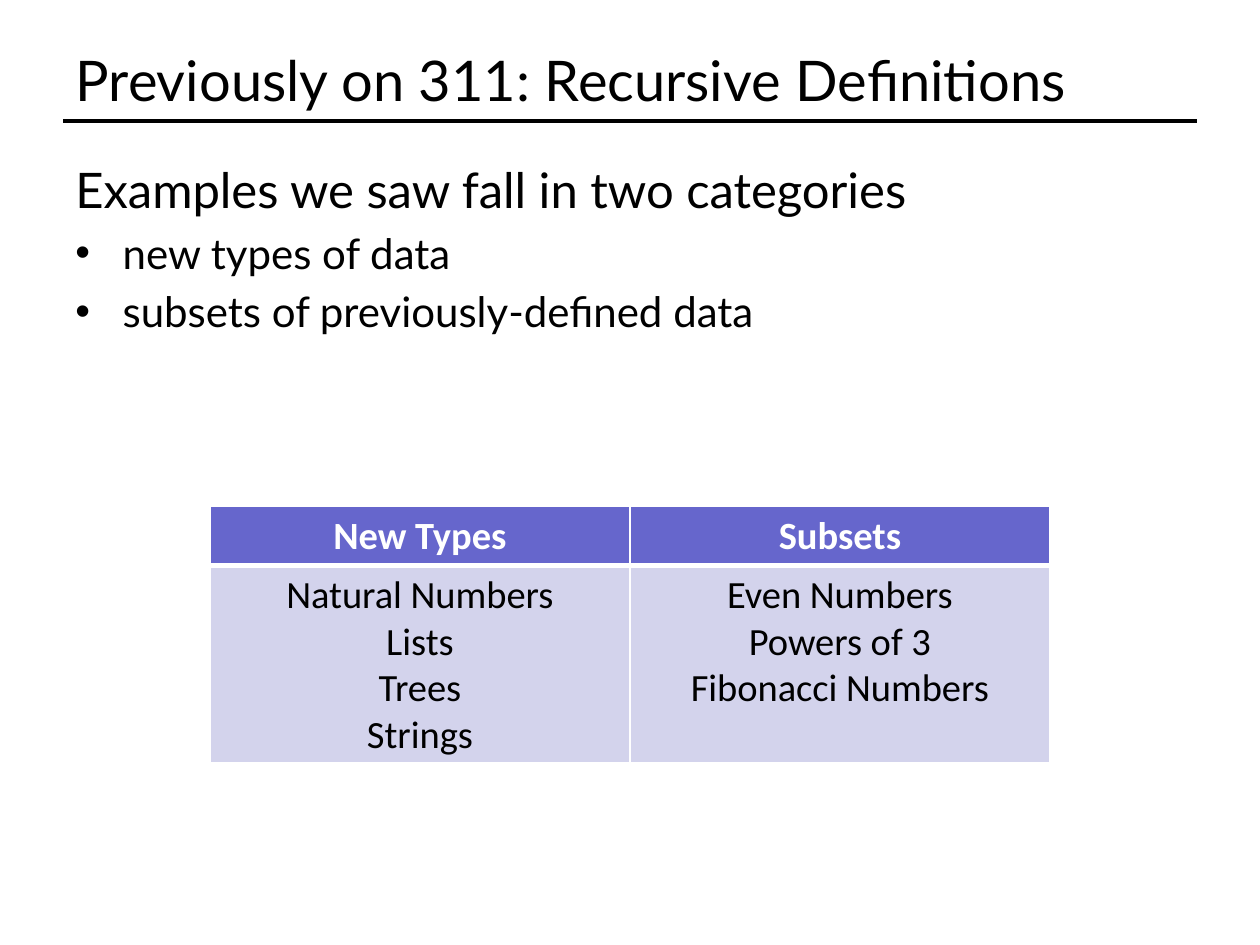
from lxml.etree import SubElement
from pptx import Presentation
from pptx.dml.color import RGBColor
from pptx.enum.shapes import MSO_CONNECTOR
from pptx.enum.text import MSO_ANCHOR, PP_ALIGN
from pptx.oxml.ns import qn
from pptx.util import Pt

COLORS = {"ink": "000000", "paper": "FFFFFF", "header": "6666CC", "body": "D3D3EC"}


def color(name):
    """Return the named palette colour."""
    return RGBColor.from_string(COLORS[name])


def add_text(paragraph, text, font, size, ink="ink", bold=False):
    """Add one formatted run to a paragraph."""
    run = paragraph.add_run()
    run.text = text
    run.font.name = font
    run.font.size = Pt(size)
    run.font.bold = bold
    run.font.color.rgb = color(ink)


def add_heading(slide, text, left, top, width, height):
    """Place the title with a rule along its lower edge."""
    title = slide.shapes.title
    title.left, title.top, title.width, title.height = map(Pt, (left, top, width, height))
    title.text_frame.vertical_anchor = MSO_ANCHOR.MIDDLE
    paragraph = title.text_frame.paragraphs[0]
    paragraph.alignment = PP_ALIGN.LEFT
    add_text(paragraph, text, "Lato", 32)
    bottom = top + height
    rule = slide.shapes.add_connector(
        MSO_CONNECTOR.STRAIGHT, Pt(left), Pt(bottom), Pt(left + width), Pt(bottom))
    rule.line.color.rgb = color("ink")
    rule.line.width = Pt(2)
    SubElement(rule._element.spPr, qn("a:effectLst"))


def add_bullets(slide, lead, items, left, top, width, height):
    """Place a lead line followed by bulleted items."""
    frame = slide.shapes.add_textbox(*map(Pt, (left, top, width, height))).text_frame
    frame.word_wrap = True
    add_text(frame.paragraphs[0], lead, "Lato", 28)
    for item in items:
        paragraph = frame.add_paragraph()
        paragraph.space_before = Pt(4.8)
        properties = paragraph._p.get_or_add_pPr()
        properties.set("marL", str(Pt(27)))
        properties.set("indent", str(Pt(-27)))
        SubElement(properties, qn("a:buFont"), typeface="Arial")
        SubElement(properties, qn("a:buChar"), char="•")
        add_text(paragraph, item, "Lato", 24)


def set_borders(cell, widths):
    """Draw white cell borders with the given width for each side."""
    properties = cell._tc.get_or_add_tcPr()
    for index, (side, width) in enumerate(widths.items()):
        line = SubElement(properties, qn(f"a:ln{side}"), w=str(Pt(width)))
        fill = SubElement(line, qn("a:solidFill"))
        SubElement(fill, qn("a:srgbClr"), val=COLORS["paper"])
        properties.insert(index, line)


def fill_cell(cell, lines, is_header):
    """Write centred lines into a header or body cell."""
    cell.fill.solid()
    cell.fill.fore_color.rgb = color("header" if is_header else "body")
    set_borders(cell, {"L": 1, "R": 1, "T": 1 if is_header else 3, "B": 3 if is_header else 1})
    frame = cell.text_frame
    for index, line in enumerate(lines):
        paragraph = frame.add_paragraph() if index else frame.paragraphs[0]
        paragraph.alignment = PP_ALIGN.CENTER
        add_text(paragraph, line, "Calibri", 22, "paper" if is_header else "ink", is_header)


def add_categories(slide, categories, left, top, width, height):
    """Place a table with one column for each category."""
    table = slide.shapes.add_table(
        2, len(categories), Pt(left), Pt(top), Pt(width), Pt(height)).table
    header_height = 33
    table.rows[0].height = Pt(header_height)
    table.rows[1].height = Pt(height - header_height)
    for index, (name, examples) in enumerate(categories.items()):
        table.columns[index].width = Pt(width / len(categories))
        fill_cell(table.cell(0, index), [name], True)
        fill_cell(table.cell(1, index), examples, False)


def main():
    """Build and save the slide."""
    presentation = Presentation()
    presentation.slide_width, presentation.slide_height = Pt(720), Pt(540)
    slide = presentation.slides.add_slide(presentation.slide_layouts[5])
    slide.background.fill.solid()
    slide.background.fill.fore_color.rgb = color("paper")
    add_heading(slide, "Previously on 311: Recursive Definitions", 36, 21.6, 648, 47.5)
    add_bullets(slide, "Examples we saw fall in two categories",
                ["new types of data", "subsets of previously-defined data"],
                36, 87.8, 648, 414.7)
    add_categories(slide, {
        "New Types": ["Natural Numbers", "Lists", "Trees", "Strings"],
        "Subsets": ["Even Numbers", "Powers of 3", "Fibonacci Numbers"],
    }, 120, 289.5, 480, 146)
    presentation.save("out.pptx")


if __name__ == "__main__":
    main()
